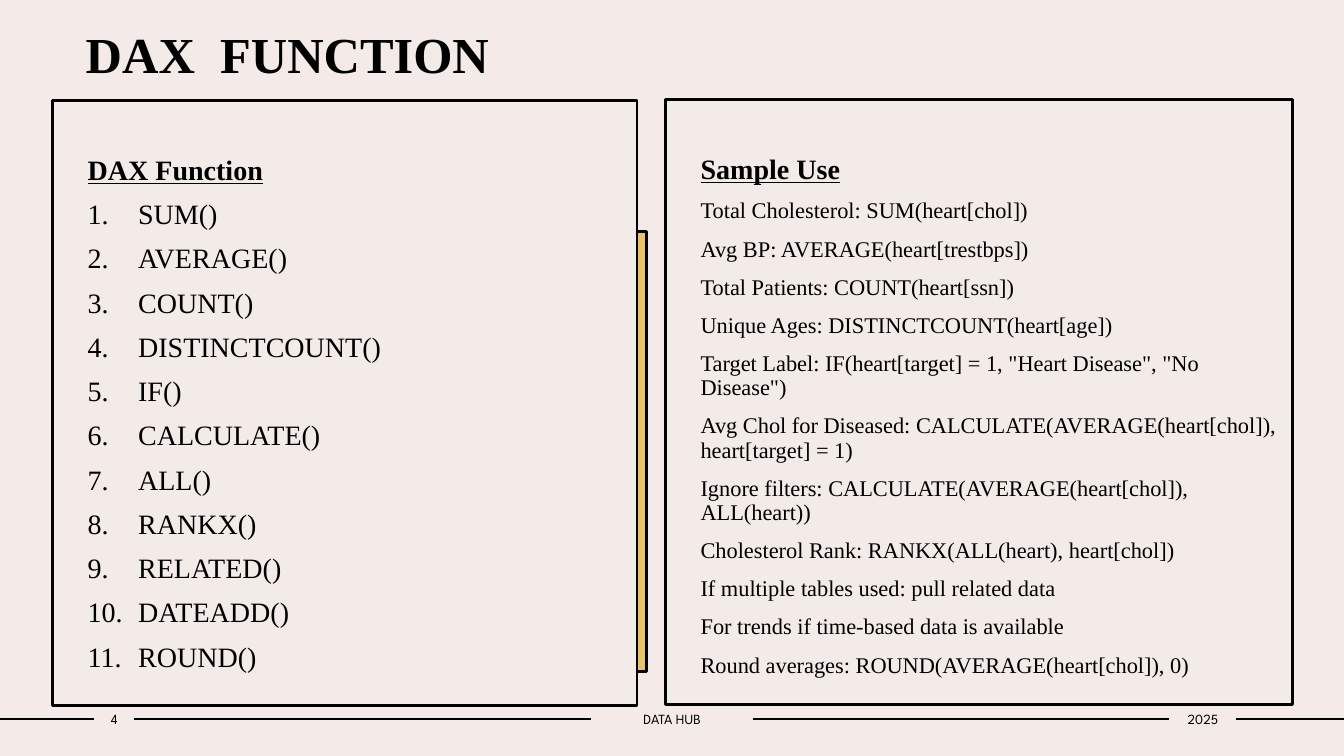
from lxml import etree
from pptx import Presentation
from pptx.dml.color import RGBColor
from pptx.enum.shapes import MSO_CONNECTOR, MSO_SHAPE
from pptx.enum.text import MSO_ANCHOR, MSO_AUTO_SIZE, PP_ALIGN
from pptx.oxml.ns import qn
from pptx.util import Inches, Pt

BLACK = RGBColor(0x00, 0x00, 0x00)
CREAM = RGBColor(0xF4, 0xEB, 0xE8)
PANEL = RGBColor(0xF3, 0xEB, 0xE8)
GOLD = RGBColor(0xE9, 0xC3, 0x69)
SERIF = "Times New Roman"
SANS = "League Spartan"
RECT = MSO_SHAPE.RECTANGLE
STRAIGHT = MSO_CONNECTOR.STRAIGHT
TOP, MIDDLE = MSO_ANCHOR.TOP, MSO_ANCHOR.MIDDLE
LEFT, CENTER = PP_ALIGN.LEFT, PP_ALIGN.CENTER
FIXED = MSO_AUTO_SIZE.NONE
WIDE, HIGH = Inches(13.33), Inches(7.5)
COL, ROW = WIDE / 100, HIGH / 100

NAMES = ["SUM()", "AVERAGE()", "COUNT()", "DISTINCTCOUNT()", "IF()", "CALCULATE()",
         "ALL()", "RANKX()", "RELATED()", "DATEADD()", "ROUND()"]
USES = [
    "Total Cholesterol: SUM(heart[chol])",
    "Avg BP: AVERAGE(heart[trestbps])",
    "Total Patients: COUNT(heart[ssn])",
    "Unique Ages: DISTINCTCOUNT(heart[age])",
    'Target Label: IF(heart[target] = 1, "Heart Disease", "No Disease")',
    "Avg Chol for Diseased: CALCULATE(AVERAGE(heart[chol]), heart[target] = 1)",
    "Ignore filters: CALCULATE(AVERAGE(heart[chol]), ALL(heart))",
    "Cholesterol Rank: RANKX(ALL(heart), heart[chol])",
    "If multiple tables used: pull related data",
    "For trends if time-based data is available",
    "Round averages: ROUND(AVERAGE(heart[chol]), 0)",
]


def place(box):
    x, y, w, h = box
    return round(x * COL), round(y * ROW), round(w * COL), round(h * ROW)


def move(shape, box):
    shape.left, shape.top, shape.width, shape.height = place(box)


def setup(frame, pads, anchor):
    frame.word_wrap = True
    frame.auto_size = FIXED
    frame.vertical_anchor = anchor
    (frame.margin_left, frame.margin_top,
     frame.margin_right, frame.margin_bottom) = map(Inches, pads)


def write(para, text, size, face=SERIF, bold=False, under=False):
    run = para.add_run()
    run.text = text
    font = run.font
    font.size, font.name = Pt(size), face
    font.bold, font.underline = bold, under
    font.color.rgb = BLACK


def paint(shape, color):
    shape.fill.solid()
    shape.fill.fore_color.rgb = color
    shape.line.color.rgb = BLACK
    shape.line.width = Pt(2)


def mark(para, count):
    props = para._p.get_or_add_pPr()
    hang = Inches(0.5) if count else 0
    props.set("marL", str(hang))
    props.set("indent", str(-hang))
    if count:
        etree.SubElement(props, qn("a:buFont")).set("typeface", "+mj-lt")
        etree.SubElement(props, qn("a:buAutoNum")).set("type", "arabicPeriod")
    else:
        etree.SubElement(props, qn("a:buNone"))


def header(title, box):
    move(title, box)
    setup(title.text_frame, (0.1, 0.11, 0.1, 0), TOP)
    para = title.text_frame.paragraphs[0]
    para.alignment = LEFT
    write(para, "DAX  FUNCTION", 36, bold=True)


def panel(body, box, head, items, size, count):
    move(body, box)
    paint(body, PANEL)
    frame = body.text_frame
    setup(frame, (0.35, 0.55, 0.1, 0.05), TOP)
    for i, text in enumerate([head] + items):
        para = frame.add_paragraph() if i else frame.paragraphs[0]
        para.line_spacing, para.space_before = 0.9, Pt(10)
        mark(para, count and i > 0)
        if i:
            write(para, text, size)
        else:
            write(para, text, 20, bold=True, under=True)


def accent(slide, box):
    block = slide.shapes.add_shape(RECT, *place(box))
    block.shadow.inherit = False
    paint(block, GOLD)
    slide.shapes.title.element.addprevious(block.element)


def footer(slide, box):
    x, y, w, h = box
    mid = round((y + h / 2) * ROW)
    for start, end in [(0, 0.07), (0.1, 0.44), (0.56, 0.87), (0.92, 1)]:
        rule = slide.shapes.add_connector(
            STRAIGHT, round((x + start * w) * COL), mid, round((x + end * w) * COL), mid)
        rule.line.color.rgb = BLACK
        rule.line.width = Pt(1)
        etree.SubElement(rule.element.spPr, qn("a:effectLst"))
        slide.shapes.title.element.addprevious(rule.element)
    for text, start, span in [("4", 0.07, 0.03), ("DATA HUB", 0.44, 0.12), ("2025", 0.87, 0.05)]:
        label = slide.shapes.add_textbox(*place((x + start * w, y, span * w, h)))
        setup(label.text_frame, (0, 0.05, 0, 0.05), MIDDLE)
        para = label.text_frame.paragraphs[0]
        para.alignment = CENTER
        write(para, text, 10, SANS)


def main():
    deck = Presentation()
    deck.slide_width, deck.slide_height = WIDE, HIGH
    slide = deck.slides.add_slide(deck.slide_layouts[3])
    slide.background.fill.solid()
    slide.background.fill.fore_color.rgb = CREAM
    title, left, right = slide.placeholders
    header(title, (5.63, 1.6, 85.07, 8.27))
    panel(left, (3.9, 13.33, 43.5, 80), "DAX Function", NAMES, 20, True)
    panel(right, (49.5, 13.2, 46.66, 80), "Sample Use", USES, 16, False)
    footer(slide, (0, 93.33, 100, 3.6))
    accent(slide, (6.6, 30.67, 41.5, 58.13))
    deck.save("out.pptx")


if __name__ == "__main__":
    main()
